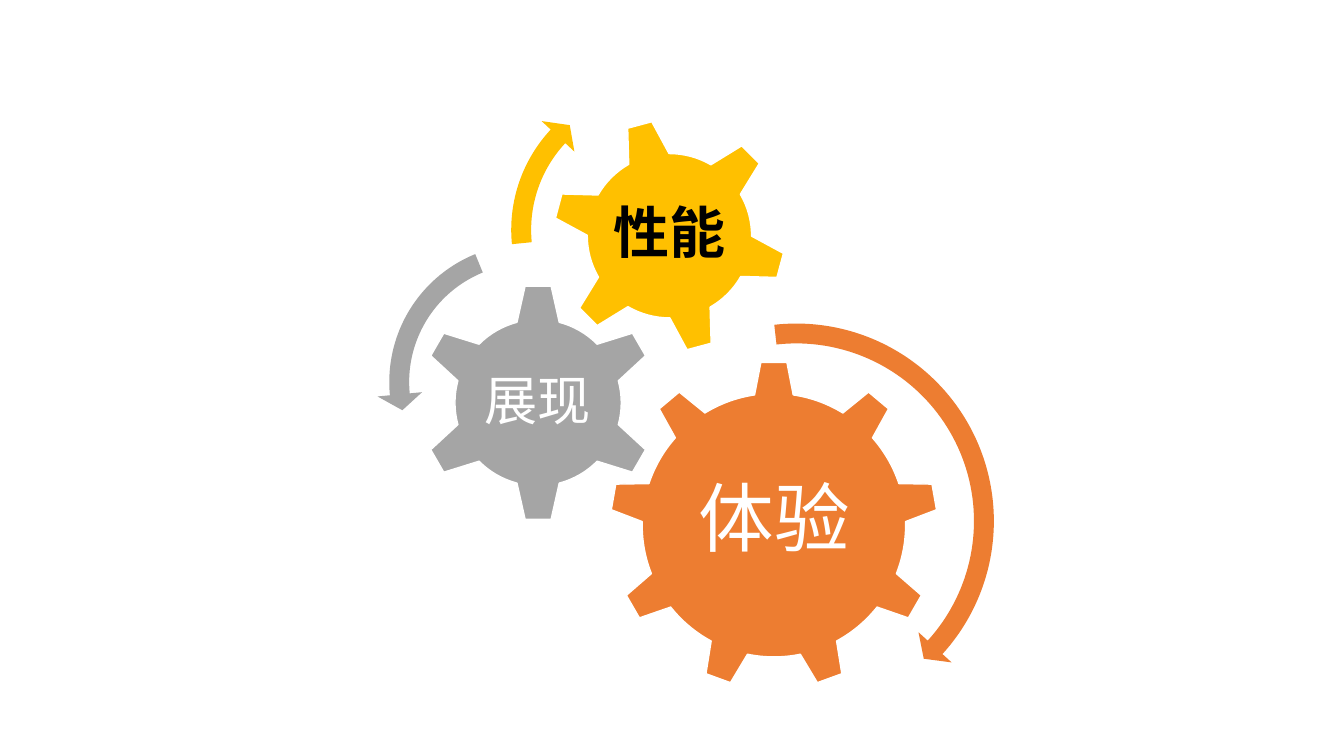
from math import asin, atan2, cos, degrees, hypot, radians, sin
from typing import NamedTuple

from lxml.etree import Element, SubElement
from pptx import Presentation
from pptx.dml.color import RGBColor as Color
from pptx.enum.text import MSO_ANCHOR as Anchor, PP_ALIGN as Align
from pptx.oxml.ns import qn
from pptx.shapes.autoshape import Shape
from pptx.shapes.shapetree import SlideShapes as Shapes
from pptx.util import Pt

FONT = "Noto Sans CJK SC"
HUES = {"orange": "ED7D31", "grey": "A5A5A5", "gold": "FFC000",
        "white": "FFFFFF", "black": "000000"}
BAND = 7.1   # half the width of an arrow's band
HEAD = 16    # half the width of an arrow's head

Point = tuple[float, float]


class Node(NamedTuple):
    spot: Point
    radius: float = 0  # above zero when an arc leads here
    start: float = 0
    sweep: float = 0


class Gear(NamedTuple):
    mid: Point
    teeth: int
    turn: float   # angle of the first tooth
    tip: float    # distance from centre to tooth end
    body: float   # radius of the round body
    top: float    # half width at the tooth end
    root: float   # half width at the tooth base
    hue: str


class Label(NamedTuple):
    text: str
    box: tuple[float, float, float, float]
    inset: float
    size: float
    hue: str
    bold: bool


class Arrow(NamedTuple):
    mid: Point
    radius: float
    start: float
    end: float
    tip: float
    hue: str


GEARS = [
    Gear((552.8, 375.2), 9, -90, 116.3, 94.1, 9.3, 13.8, "orange"),
    Gear((384.4, 287.7), 6, -90, 83.2, 59.4, 9.3, 15.1, "grey"),
    Gear((478.2, 168.4), 6, -105, 81.9, 58.7, 8.9, 14.9, "gold"),
]
LABELS = [
    Label("体验", (482.7, 330, 140.4, 85.7), 5, 54, "white", False),
    Label("展现", (341.6, 257.8, 85, 60.5), 3.6, 38, "white", False),
    Label("性能", (431.3, 136.1, 93.6, 64.1), 4.3, 40, "black", True),
]
ARROWS = [
    Arrow((568.8, 372.2), 134, -96.4, 42.3, 47.2, "orange"),
    Arrow((376.8, 272.9), 91.6, 247.8, 174.5, 167.3, "grey"),
    Arrow((470.2, 164.2), 97.9, 174.4, 223, 229.8, "gold"),
]


def polar(mid: Point, radius: float, angle: float) -> Point:
    turn = radians(angle)
    return mid[0] + radius * cos(turn), mid[1] + radius * sin(turn)


def arc(mid: Point, radius: float, start: float, end: float) -> list[Node]:
    """Arc nodes, cut at the quarter turns so that the bounds are exact."""
    low, high = sorted((start, end))
    cuts = [angle for angle in range(-360, 361, 90) if low < angle < high]
    stops = sorted([low, *cuts, high], reverse=start > end)
    return [Node(polar(mid, radius, b), radius, a, b - a)
            for a, b in zip(stops, stops[1:])]


def outline(shapes: Shapes, nodes: list[Node], hue: str) -> Shape:
    spots = [(Pt(x), Pt(y)) for x, y in (node.spot for node in nodes)]
    pen = shapes.build_freeform(*spots[0], scale=1.0)
    pen.add_line_segments(spots[1:], close=True)
    shape = pen.convert_to_shape()
    # Bend the sides that are arcs
    sides = list(shape.element.iter(qn("a:lnTo")))
    for side, node in zip(sides, nodes[1:]):
        if node.radius:
            reach = str(Pt(node.radius))
            bend = Element(qn("a:arcTo"), wR=reach, hR=reach,
                           stAng=str(round(node.start % 360 * 60000)),
                           swAng=str(round(node.sweep * 60000)))
            side.getparent().replace(side, bend)
    shape.shadow.inherit = False
    shape.fill.solid()
    shape.fill.fore_color.rgb = Color.from_string(HUES[hue])
    shape.line.fill.background()
    return shape


def draw_gear(shapes: Shapes, gear: Gear) -> None:
    pitch = 360 / gear.teeth
    base = degrees(asin(gear.root / gear.body))
    edge = degrees(atan2(gear.top, gear.tip))
    reach = hypot(gear.top, gear.tip)
    nodes: list[Node] = []
    for i in range(gear.teeth):
        axis = gear.turn + i * pitch
        nodes += [Node(polar(gear.mid, reach, axis - edge)),
                  Node(polar(gear.mid, reach, axis + edge)),
                  Node(polar(gear.mid, gear.body, axis + base))]
        nodes += arc(gear.mid, gear.body, axis + base, axis + pitch - base)
    line = outline(shapes, nodes, gear.hue).line
    line.color.rgb = Color.from_string(HUES["white"])
    line.width = Pt(1)


def draw_label(shapes: Shapes, label: Label) -> None:
    frame = shapes.add_textbox(*map(Pt, label.box)).text_frame
    frame.word_wrap = True
    frame.vertical_anchor = Anchor.MIDDLE
    frame.margin_left = frame.margin_right = Pt(label.inset)
    frame.margin_top = frame.margin_bottom = Pt(label.inset)
    par = frame.paragraphs[0]
    par.text = label.text
    par.alignment = Align.CENTER
    par.line_spacing = 0.9
    font = par.font
    font.name = FONT
    font.size = Pt(label.size)
    font.bold = label.bold
    font.color.rgb = Color.from_string(HUES[label.hue])
    # East Asian typeface
    props = par._p.pPr.find(qn("a:defRPr"))
    SubElement(props, qn("a:ea"), typeface=FONT)


def draw_arrow(shapes: Shapes, arrow: Arrow) -> None:
    mid, mean = arrow.mid, arrow.radius
    first = Node(polar(mid, mean + BAND, arrow.start))
    head = [Node(polar(mid, mean + HEAD, arrow.end)),
            Node(polar(mid, mean, arrow.tip)),
            Node(polar(mid, mean - HEAD, arrow.end)),
            Node(polar(mid, mean - BAND, arrow.end))]
    outer = arc(mid, mean + BAND, arrow.start, arrow.end)
    inner = arc(mid, mean - BAND, arrow.end, arrow.start)
    outline(shapes, [first, *outer, *head, *inner], arrow.hue)


def main() -> None:
    deck = Presentation()
    deck.slide_width, deck.slide_height = Pt(960), Pt(540)
    shapes = deck.slides.add_slide(deck.slide_layouts[6]).shapes

    # Gears with their labels
    for gear, label in zip(GEARS, LABELS):
        draw_gear(shapes, gear)
        draw_label(shapes, label)

    # Arrows showing how each gear turns
    for arrow in ARROWS:
        draw_arrow(shapes, arrow)

    deck.save("out.pptx")


if __name__ == "__main__":
    main()
